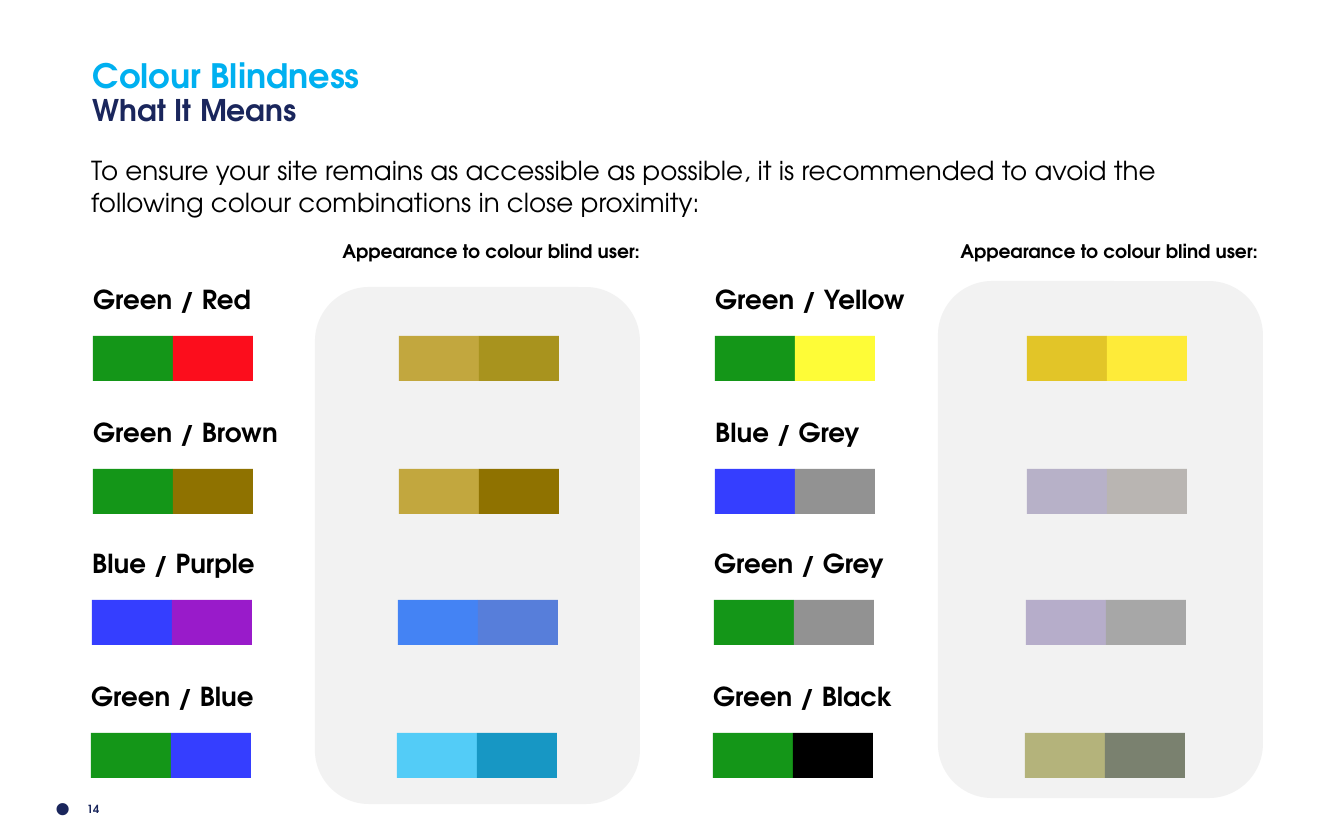
import pptx
import pptx.util
import pptx.dml.color
import pptx.enum.shapes
import pptx.enum.text
import lxml.etree

PX = 914400 / 134.4
FONT = "TeX Gyre Adventor"
COLOURS = {
    "sky": "00B0F0", "navy": "1A265C", "black": "000000", "panel": "F2F2F2",
    "green": "149618", "red": "FC0D1C", "brown": "8F7200", "blue": "353EFF",
    "purple": "991BCA", "yellow": "FEFC37", "grey": "929292",
}

TITLE = [("Colour Blindness", 18, "sky"), ("What It Means", 16, "navy")]
INTRO = ("To ensure your site remains as accessible as possible, it is recommended "
         "to avoid the following colour combinations in close proximity:")
HEADING = "Appearance to colour blind user:"
PAGE_NUMBER = "14"

# Each combination: the two colour names, then how each one appears
COLUMNS = [
    {"swatch_left": 93, "seen_left": 399, "heading_left": 308, "panel": (315, 287),
     "pairs": [("Green", "Red", "C2A73E", "A8931E"),
               ("Green", "Brown", "C2A73E", "8F7200"),
               ("Blue", "Purple", "4483F4", "577EDA"),
               ("Green", "Blue", "53CCF7", "1797C4")]},
    {"swatch_left": 715, "seen_left": 1027, "heading_left": 926, "panel": (938, 281),
     "pairs": [("Green", "Yellow", "E2C528", "FEEB39"),
               ("Blue", "Grey", "B7B1C8", "B9B5B2"),
               ("Green", "Grey", "B6ADCA", "A7A7A7"),
               ("Green", "Black", "B4B37B", "7A816F")]},
]
ROWS = [(336, 0), (469, 0), (600, -1), (733, -2)]  # top, sideways shift
SWATCH_WIDTH, SWATCH_HEIGHT = 80, 45
PANEL_SIZE = (325, 517)
LABEL_RISE, LABEL_INSET = 59, 13

ALIGN = pptx.enum.text.PP_ALIGN
ANCHOR = pptx.enum.text.MSO_ANCHOR
SHAPES = pptx.enum.shapes.MSO_SHAPE


def emu(pixels):
    return pptx.util.Emu(round(pixels * PX))


def rgb(hex_colour):
    return pptx.dml.color.RGBColor.from_string(hex_colour)


def style(paragraph, size, colour, bold):
    font = paragraph.font
    font.name, font.size, font.bold = FONT, pptx.util.Pt(size), bold
    font.color.rgb = rgb(COLOURS[colour])


def add_text(slide, box, lines, bold=True, align=ALIGN.LEFT, padded=True):
    """Add a text box with one paragraph per (text, size, colour) line."""
    frame = slide.shapes.add_textbox(*map(emu, box)).text_frame
    frame.word_wrap = True
    if not padded:
        frame.margin_left = frame.margin_right = 0
        frame.margin_top = frame.margin_bottom = 0
    for index, (text, size, colour) in enumerate(lines):
        paragraph = frame.add_paragraph() if index else frame.paragraphs[0]
        paragraph.text = text
        paragraph.alignment = align
        style(paragraph, size, colour, bold)
    return frame


def add_block(slide, kind, box, hex_colour):
    shape = slide.shapes.add_shape(kind, *map(emu, box))
    shape.shadow.inherit = False
    shape.fill.solid()
    shape.fill.fore_color.rgb = rgb(hex_colour)
    shape.line.fill.background()


def add_swatches(slide, left, top, hex_colours):
    for index, hex_colour in enumerate(hex_colours):
        box = (left + index * SWATCH_WIDTH, top, SWATCH_WIDTH, SWATCH_HEIGHT)
        add_block(slide, SHAPES.RECTANGLE, box, hex_colour)


def add_column(slide, column):
    add_block(slide, SHAPES.ROUNDED_RECTANGLE, column["panel"] + PANEL_SIZE,
              COLOURS["panel"])
    add_text(slide, (column["heading_left"], 233, 366, 36),
             [(HEADING, 10, "black")], align=ALIGN.CENTER)
    for (top, shift), (first, second, *seen) in zip(ROWS, column["pairs"]):
        left = column["swatch_left"] + shift
        add_text(slide, (left - LABEL_INSET, top - LABEL_RISE, 395, 45),
                 [(f"{first} / {second}", 14, "black")])
        add_swatches(slide, left, top,
                     [COLOURS[first.lower()], COLOURS[second.lower()]])
        add_swatches(slide, column["seen_left"] + shift, top, seen)


def add_page_number(slide):
    frame = add_text(slide, (55, 798, 48, 22), [], padded=False)
    frame.vertical_anchor = ANCHOR.MIDDLE
    paragraph = frame.paragraphs[0]
    paragraph.text = PAGE_NUMBER
    properties = paragraph._p.get_or_add_pPr()
    properties.set("marL", str(emu(32)))
    properties.set("indent", str(emu(-32)))
    namespace = "{http://schemas.openxmlformats.org/drawingml/2006/main}"
    for tag, name, value in [("buSzPct", "val", "400000"),
                             ("buFont", "typeface", "Arial"),
                             ("buChar", "char", "•")]:
        lxml.etree.SubElement(properties, namespace + tag).set(name, value)
    style(paragraph, 6, "navy", True)


def main():
    presentation = pptx.Presentation()
    presentation.slide_width, presentation.slide_height = emu(1344), emu(840)
    slide = presentation.slides.add_slide(presentation.slide_layouts[6])

    title = add_text(slide, (93, 59, 1159, 68), TITLE, padded=False)
    for paragraph in title.paragraphs:
        paragraph.line_spacing = 0.9
    add_text(slide, (78, 148, 1159, 77), [(INTRO, 14, "black")], bold=False)
    for column in COLUMNS:
        add_column(slide, column)
    add_page_number(slide)
    presentation.save("out.pptx")


if __name__ == "__main__":
    main()
